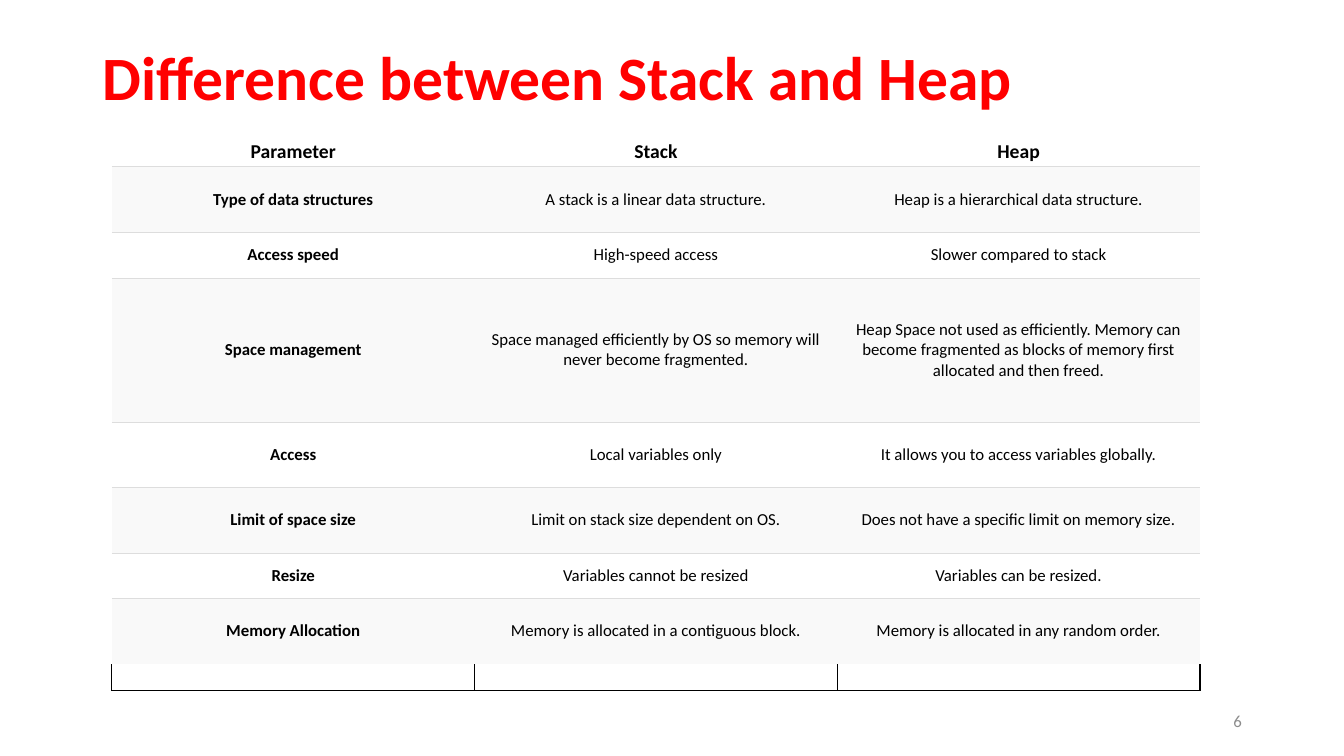
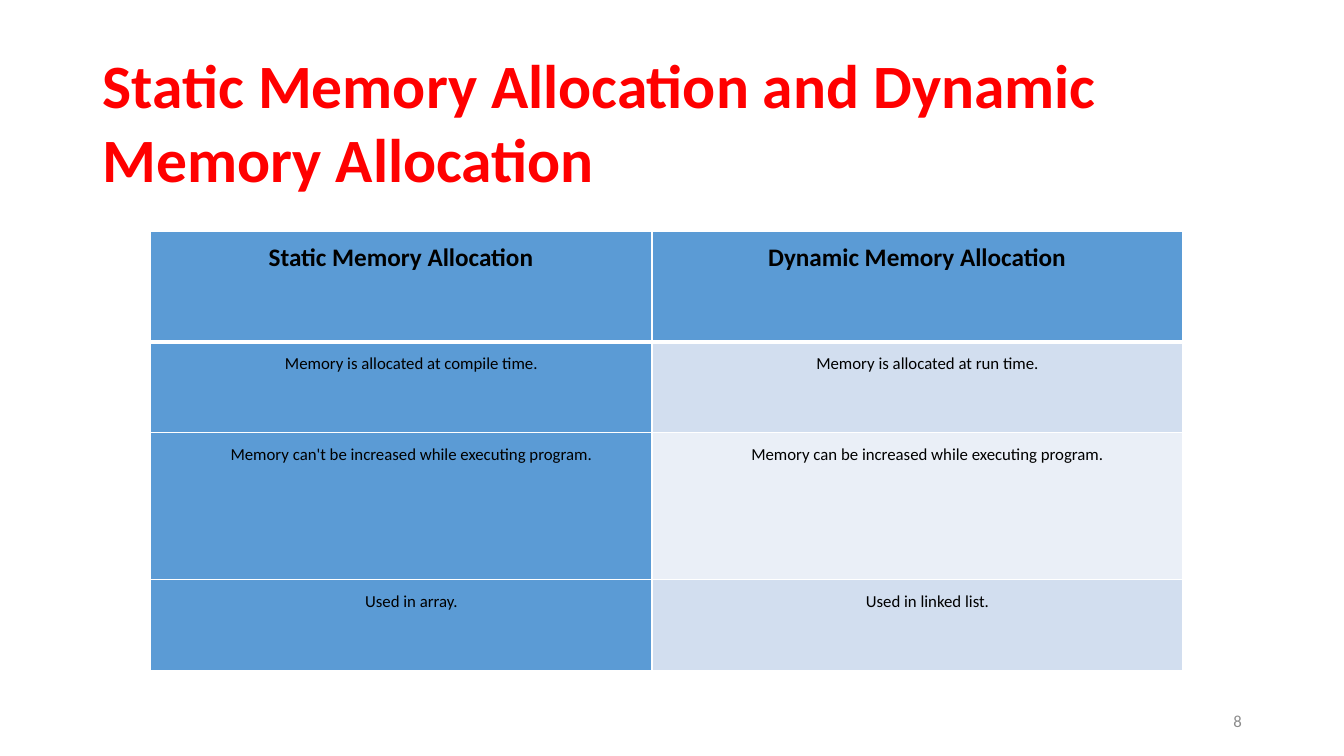
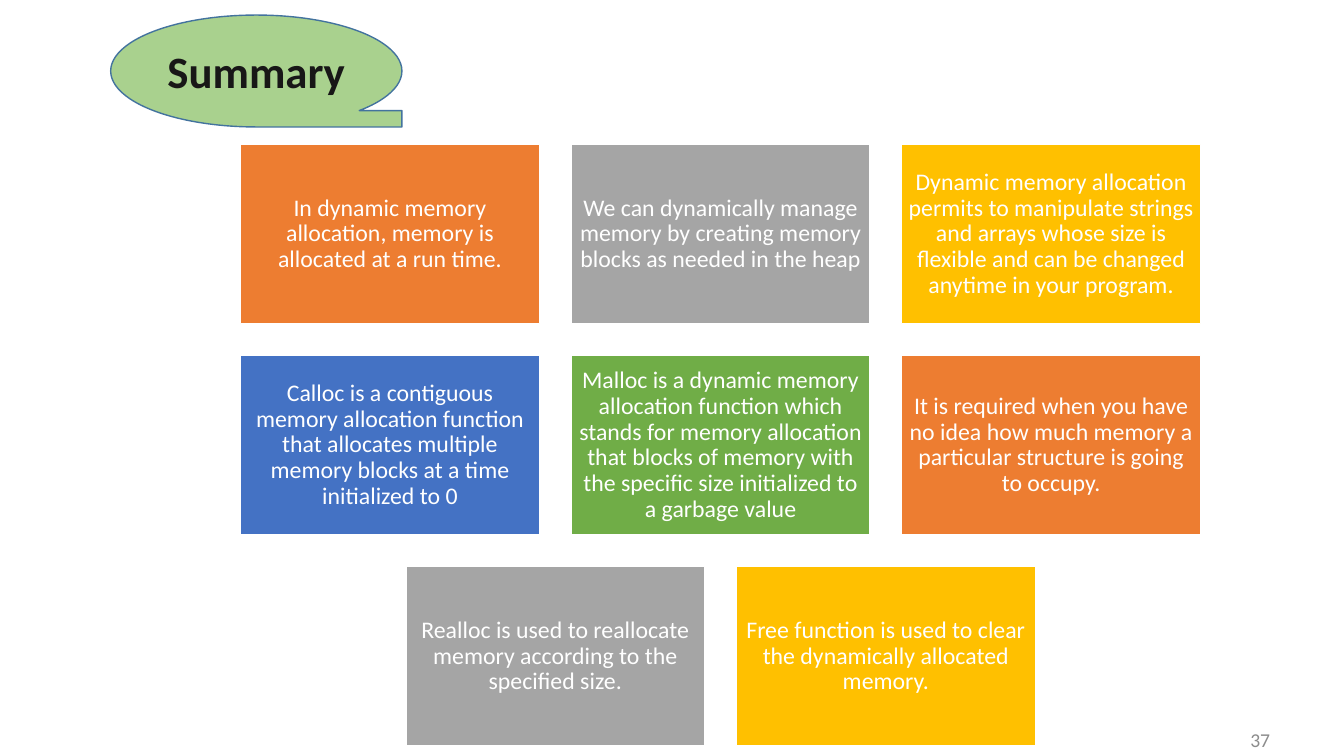
from lxml import etree
from pptx import Presentation
from pptx.dml.color import RGBColor
from pptx.enum.shapes import MSO_SHAPE
from pptx.enum.text import MSO_ANCHOR, PP_ALIGN
from pptx.oxml.ns import qn
from pptx.util import Cm, Pt

RECTANGLE = MSO_SHAPE.RECTANGLE
TAPE = MSO_SHAPE.FLOWCHART_SEQUENTIAL_ACCESS_STORAGE
TOP, MIDDLE = MSO_ANCHOR.TOP, MSO_ANCHOR.MIDDLE
LEFT, CENTER, RIGHT = PP_ALIGN.LEFT, PP_ALIGN.CENTER, PP_ALIGN.RIGHT

FONT = "Calibri"
RED, BLACK, WHITE, GREY = "FF0000", "000000", "FFFFFF", "8C8C8C"
STRIPE, RULE = "F9F9F9", "DDDDDD"
BLUE, BAND_DARK, BAND_LIGHT = "5B9BD5", "D2DEEF", "EAEFF7"
CARD_COLORS = ["ED7D31", "A5A5A5", "FFC000", "4472C4", "70AD47"]

# Content: lengths in centimetres
STACK_HEAP_TITLE = "Difference between Stack and Heap"
STACK_HEAP_ROWS = [
    (0.75, "Parameter", "Stack", "Heap"),
    (1.65, "Type of data structures", "A stack is a linear data structure.",
     "Heap is a hierarchical data structure."),
    (1.15, "Access speed", "High-speed access", "Slower compared to stack"),
    (3.63, "Space management",
     "Space managed efficiently by OS so memory will never become fragmented.",
     "Heap Space not used as efficiently. Memory can become fragmented as blocks "
     "of memory first allocated and then freed."),
    (1.65, "Access", "Local variables only",
     "It allows you to access variables globally."),
    (1.65, "Limit of space size", "Limit on stack size dependent on OS.",
     "Does not have a specific limit on memory size."),
    (1.15, "Resize", "Variables cannot be resized", "Variables can be resized."),
    (1.65, "Memory Allocation", "Memory is allocated in a contiguous block.",
     "Memory is allocated in any random order."),
    (0.66, "", "", ""),
]
ALLOCATION_TITLE = "Static Memory Allocation and Dynamic Memory Allocation"
ALLOCATION_ROWS = [
    (2.79, "Static Memory Allocation", "Dynamic Memory Allocation"),
    (2.29, "Memory is allocated at compile time.", "Memory is allocated at run time."),
    (3.71, "Memory can't be increased while executing program.",
     "Memory can be increased while executing program."),
    (2.29, "Used in array.", "Used in linked list."),
]
SUMMARY_ROWS = [
    ["In dynamic memory allocation, memory is allocated at a run time.",
     "We can dynamically manage memory by creating memory blocks as needed in the heap",
     "Dynamic memory allocation permits to manipulate strings and arrays whose size "
     "is flexible and can be changed anytime in your program."],
    ["Calloc is a contiguous memory allocation function that allocates multiple "
     "memory blocks at a time initialized to 0",
     "Malloc is a dynamic memory allocation function which stands for memory "
     "allocation that blocks of memory with the specific size initialized to a "
     "garbage value",
     "It is required when you have no idea how much memory a particular structure "
     "is going to occupy."],
    ["Realloc is used to reallocate memory according to the specified size.",
     "Free function is used to clear the dynamically allocated memory."],
]


def color(value):
    return RGBColor.from_string(value)


def write(frame, text, size=12, ink=BLACK, bold=False, align=CENTER, spacing=None, indent=0):
    paragraph = frame.paragraphs[0]
    paragraph.alignment = align
    if spacing:
        paragraph.line_spacing = spacing
    if indent:
        paragraph._p.get_or_add_pPr().set("marL", str(Cm(indent)))
    if not text:
        etree.SubElement(paragraph._p, qn("a:endParaRPr"), sz=str(size * 100))
        return
    run = paragraph.add_run()
    run.text = text
    run.font.name, run.font.size, run.font.bold = FONT, Pt(size), bold
    run.font.color.rgb = color(ink)


def set_margins(box, horizontal, vertical):
    box.margin_left = box.margin_right = Cm(horizontal)
    box.margin_top = box.margin_bottom = Cm(vertical)


def add_text(slide, text, left, top, width, height, anchor=MIDDLE, **style):
    frame = slide.shapes.add_textbox(Cm(left), Cm(top), Cm(width), Cm(height)).text_frame
    frame.word_wrap = True
    frame.vertical_anchor = anchor
    set_margins(frame, 0.25, 0)
    write(frame, text, **style)


def add_title(slide, text, spacing):
    add_text(slide, text, 2.34, 1.18, 29.2, 3.8, anchor=TOP, size=44, ink=RED,
             bold=True, align=LEFT, spacing=spacing)


def add_number(slide, text, left=23.93, top=17.65, width=7.62, height=1.02, size=12):
    add_text(slide, text, left, top, width, height, size=size, ink=GREY, align=RIGHT)


def add_box(slide, kind, text, left, top, width, height, fill, line, margin, **style):
    shape = slide.shapes.add_shape(kind, Cm(left), Cm(top), Cm(width), Cm(height))
    shape.shadow.inherit = False
    shape.fill.solid()
    shape.fill.fore_color.rgb = color(fill)
    shape.line.color.rgb = color(line)
    shape.line.width = Pt(1)
    frame = shape.text_frame
    frame.word_wrap = True
    frame.vertical_anchor = MIDDLE
    set_margins(frame, margin, margin)
    write(frame, text, **style)


def add_table(slide, rows, left, top, widths):
    heights = [row[0] for row in rows]
    table = slide.shapes.add_table(len(rows), len(widths), Cm(left), Cm(top),
                                   Cm(sum(widths)), Cm(sum(heights))).table
    table.first_row = table.horz_banding = False
    for column, width in zip(table.columns, widths):
        column.width = Cm(width)
    for row, height in zip(table.rows, heights):
        row.height = Cm(height)
    return table


def style_cell(cell, fill, borders, horizontal, vertical, anchor):
    """Borders map a side (L, R, T, B) to a colour and a width in points."""
    cell.fill.solid()
    cell.fill.fore_color.rgb = color(fill)
    cell.vertical_anchor = anchor
    set_margins(cell, horizontal, vertical)
    properties = cell._tc.get_or_add_tcPr()
    for position, side in enumerate("LRTB"):
        ink, width = borders.get(side, (None, 0))
        line = etree.Element(qn("a:ln" + side), w=str(Pt(width)))
        if ink:
            solid = etree.SubElement(line, qn("a:solidFill"))
            etree.SubElement(solid, qn("a:srgbClr"), val=ink)
        else:
            etree.SubElement(line, qn("a:noFill"))
        properties.insert(position, line)


def build_stack_heap(slide):
    add_title(slide, STACK_HEAP_TITLE, 0.9)
    table = add_table(slide, STACK_HEAP_ROWS, 2.82, 3.45, [9.14] * 3)
    last = len(STACK_HEAP_ROWS) - 1
    for r, (_, *texts) in enumerate(STACK_HEAP_ROWS):
        # The empty last row is outlined, the others are ruled between
        if r == last:
            borders = {side: (BLACK, 1) for side in "LRB"}
        else:
            borders = {}
            if r > 0:
                borders["T"] = (RULE, 0.6)
            if r < last - 1:
                borders["B"] = (RULE, 0.6)
        for c, text in enumerate(texts):
            cell = table.cell(r, c)
            style_cell(cell, STRIPE if r % 2 else WHITE, borders, 0.15, 0.08, MIDDLE)
            write(cell.text_frame, text, size=14 if r == 0 else 12, bold=r == 0 or c == 0)
    add_number(slide, "6")


def build_allocation(slide):
    add_title(slide, ALLOCATION_TITLE, 1.0)
    table = add_table(slide, ALLOCATION_ROWS, 3.78, 5.82, [12.65, 13.36])
    for r, (_, *texts) in enumerate(ALLOCATION_ROWS):
        header = r == 0
        borders = {side: (WHITE, 1) for side in "LRTB"}
        if header:
            borders["B"] = (WHITE, 3)
        elif r == 1:
            borders["T"] = (WHITE, 3)
        style = dict(size=18, bold=True) if header else dict(spacing=Pt(17.2), indent=0.53)
        margin = 0.3 if header else 0.2
        for c, text in enumerate(texts):
            band = BAND_DARK if r % 2 else BAND_LIGHT
            cell = table.cell(r, c)
            style_cell(cell, BLUE if header or c == 0 else band, borders,
                       margin, margin, TOP)
            write(cell.text_frame, text, **style)
    add_number(slide, "8")


def build_summary(slide):
    add_number(slide, "37", left=26.57, top=18.25, width=5.69, height=0.76, size=14)
    add_box(slide, TAPE, "Summary", 2.79, 0.38, 7.34, 2.82, "A9D18E", "43739E", 0.13,
            size=32, ink="181717", bold=True)
    # Cards: each row is centred on the same axis
    width, height, gap, axis, top = 7.53, 4.52, 0.8, 18.16, 3.64
    count = 0
    for r, texts in enumerate(SUMMARY_ROWS):
        left = axis - (len(texts) * (width + gap) - gap) / 2
        for c, text in enumerate(texts):
            add_box(slide, RECTANGLE, text, left + c * (width + gap),
                    top + r * (height + gap), width, height,
                    CARD_COLORS[count % len(CARD_COLORS)], WHITE, 0.17,
                    size=17, ink=WHITE, spacing=0.9)
            count += 1


def main():
    presentation = Presentation()
    presentation.slide_width, presentation.slide_height = Cm(33.87), Cm(19.05)
    for build in (build_stack_heap, build_allocation, build_summary):
        build(presentation.slides.add_slide(presentation.slide_layouts[6]))
    presentation.save("out.pptx")


if __name__ == "__main__":
    main()
